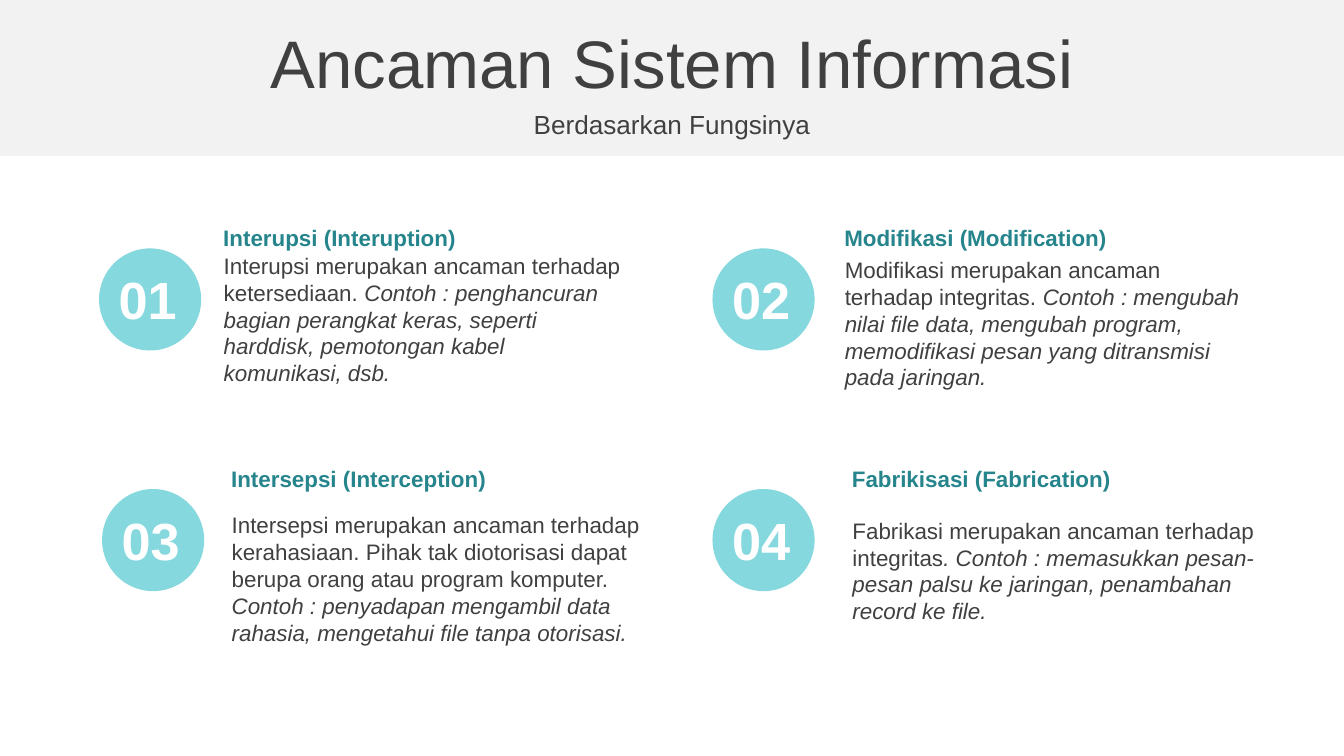
from pptx import Presentation
from pptx.dml.color import RGBColor
from pptx.enum import shapes as s, text as t
from pptx.util import Pt

WIDE, HIGH = 720, 405
INK, TEAL, AQUA, PALE, WHITE = "404040", "26858C", "85D8DE", "F2F2F2", "FFFFFF"
HEAD = "Ancaman Sistem Informasi"
SUB = "Berdasarkan Fungsinya"
DISC, ROWS = 54.7, (116.6, 245.5)
THREATS = [
    dict(name="Interupsi (Interuption)", disc=53.1, left=112.8, top=138.2, high=65.5,
         plain="Interupsi merupakan ancaman terhadap ketersediaan. ",
         case="Contoh : penghancuran bagian perangkat keras, seperti harddisk, "
              "pemotongan kabel komunikasi, dsb."),
    dict(name="Modifikasi (Modification)", disc=381.7, left=445.5, top=140.4, high=65.5,
         plain="Modifikasi merupakan ancaman terhadap integritas. ",
         case="Contoh : mengubah nilai file data, mengubah program, "
              "memodifikasi pesan yang ditransmisi pada jaringan."),
    dict(name="Intersepsi (Interception)", disc=54.7, left=117, top=270, high=80, wide=236.9,
         plain="Intersepsi merupakan ancaman terhadap kerahasiaan. Pihak tak "
               "diotorisasi dapat berupa orang atau program komputer. ",
         case="Contoh : penyadapan mengambil data rahasia, mengetahui file tanpa otorisasi."),
    dict(name="Fabrikisasi (Fabrication)", disc=381.7, left=449.6, top=272.9, high=65.5,
         plain="Fabrikasi merupakan ancaman terhadap integritas",
         case=". Contoh : memasukkan pesan-pesan palsu ke jaringan, "
              "penambahan record ke file."),
]


def hue(code):
    return RGBColor.from_string(code)


def block(kind, box, fill):
    shape = slide.shapes.add_shape(kind, *map(Pt, box))
    shape.shadow.inherit = False
    shape.fill.solid()
    shape.fill.fore_color.rgb = hue(fill)
    shape.line.fill.background()
    return shape


def write(words, box, size=12, color=INK, bold=False, case="",
          align=t.PP_ALIGN.LEFT, pad=3.6, shape=None):
    shape = shape or slide.shapes.add_textbox(0, 0, 0, 0)
    shape.left, shape.top, shape.width, shape.height = map(Pt, box)
    frame = shape.text_frame
    frame.word_wrap = True
    frame.auto_size = t.MSO_AUTO_SIZE.NONE
    frame.vertical_anchor = t.MSO_ANCHOR.MIDDLE
    frame.margin_left = frame.margin_right = Pt(7.2)
    frame.margin_top = frame.margin_bottom = Pt(pad)
    para = frame.paragraphs[0]
    para.alignment = align
    for part, slant in ((words, False), (case, True)):
        if part:
            run = para.add_run()
            run.text = part
            font = run.font
            font.name, font.size = "Arial", Pt(size)
            font.bold, font.italic = bold, slant
            font.color.rgb = hue(color)


deck = Presentation()
deck.slide_width, deck.slide_height = Pt(WIDE), Pt(HIGH)
slide = deck.slides.add_slide(deck.slide_layouts[5])
title = slide.shapes.title
band = block(s.MSO_SHAPE.RECTANGLE, (0, 0, WIDE, 83.5), PALE)
title.element.addprevious(band.element)
mid = t.PP_ALIGN.CENTER
write(HEAD, (0, 10.1, WIDE, 45.4), size=36, align=mid, shape=title)
write(SUB, (0, 55.4, WIDE, 22.3), size=14, align=mid)

for i, item in enumerate(THREATS):
    row, x, left = ROWS[i // 2], item["disc"], item["left"]
    y = row + 16.5
    block(s.MSO_SHAPE.OVAL, (x, y, DISC, DISC), AQUA)
    write(f"{i + 1:02}", (x + 3.4, y + 10.2, 47.5, 33.8), size=28,
          color=WHITE, bold=True, pad=0)
    write(item["plain"], (left, item["top"], item.get("wide", 230.4), item["high"]),
          case=item["case"])
    write(item["name"], (left - 0.3, row, 231.1, 21.6), color=TEAL, bold=True)

deck.save("out.pptx")
